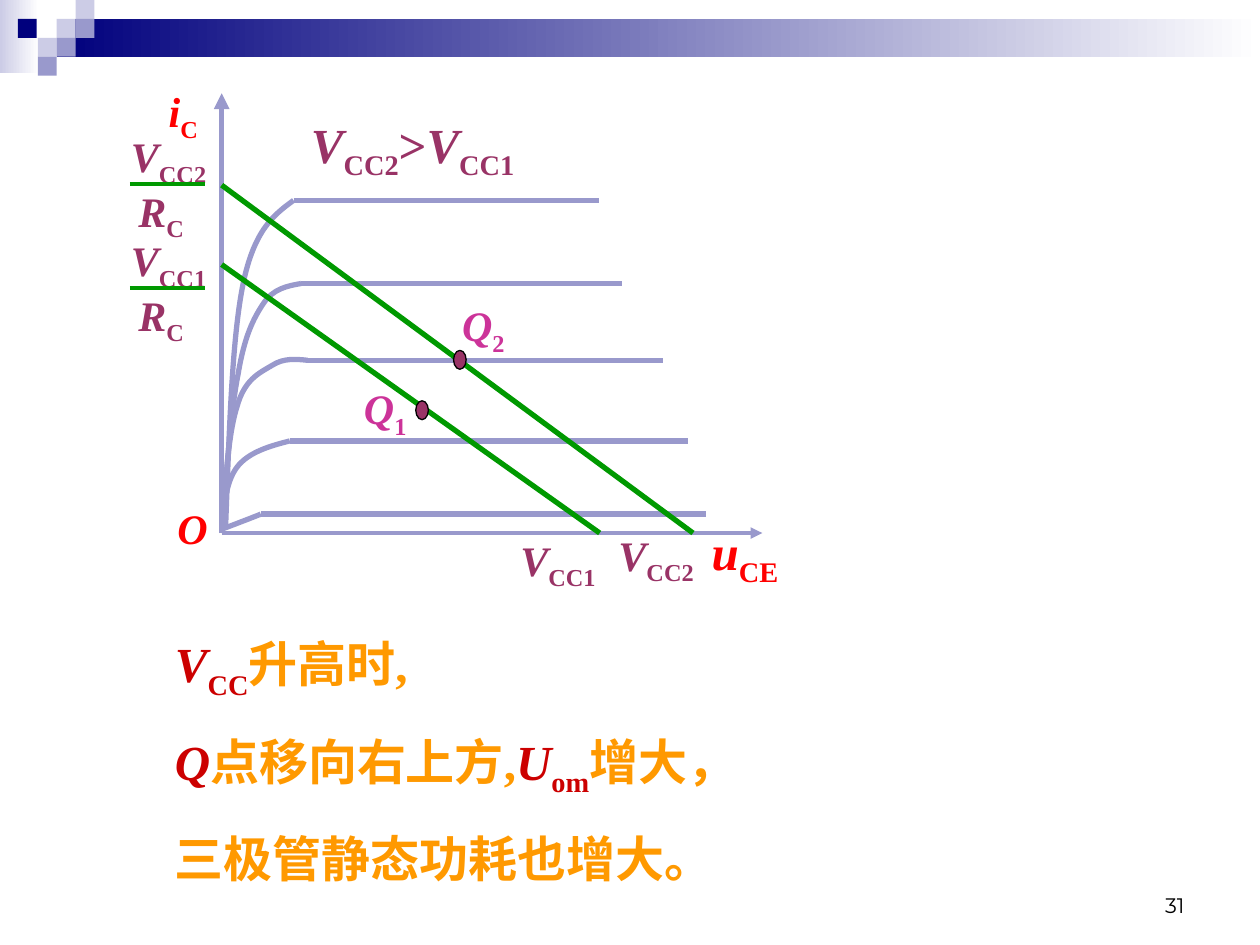
from dataclasses import dataclass

from lxml import etree
from pptx import Presentation
from pptx import util as u
from pptx.dml.color import RGBColor
from pptx.enum import shapes, text
from pptx.oxml.ns import qn

NAVY, LAVENDER, PALE, WHITE = "00007D", "9999CC", "CCCCE6", "FFFFFF"
RED, PLUM, PINK, GREEN = "FF0000", "993366", "CC3399", "009900"
CRIMSON, ORANGE, BLACK = "CC0000", "FF9900", "000000"
SERIF = "Times New Roman"
TILE = 10.8
ORIGIN = (126.7, 304.6)


@dataclass
class Piece:
    words: str
    color: str
    italic: bool = False
    lowered: bool = False


@dataclass
class Label:
    left: float
    top: float
    width: float
    stem: str
    subscript: str
    color: str
    size: float = 24


@dataclass
class Characteristic:
    start: tuple[float, float]
    beziers: list[tuple[float, ...]]
    plateau_end: float


def rgb(code: str) -> RGBColor:
    return RGBColor.from_string(code)


def symbol(stem: str, subscript: str, color: str) -> list[Piece]:
    return [Piece(stem, color, italic=True), Piece(subscript, color, lowered=True)]


def write(slide, left, top, width, height, lines: list[list[Piece]], *, size=24.0,
          font=SERIF, bold=True, gap=0.0, align=text.PP_ALIGN.LEFT,
          anchor=text.MSO_ANCHOR.TOP) -> None:
    frame = slide.shapes.add_textbox(*map(u.Pt, (left, top, width, height))).text_frame
    frame.word_wrap = True
    frame.vertical_anchor = anchor
    for index, pieces in enumerate(lines):
        paragraph = frame.add_paragraph() if index else frame.paragraphs[0]
        paragraph.alignment = align
        if index:
            paragraph.space_before = u.Pt(gap)
        for piece in pieces:
            run = paragraph.add_run()
            run.text = piece.words
            run.font.name = font
            run.font.size = u.Pt(size)
            run.font.bold = bold
            run.font.italic = piece.italic
            run.font.color.rgb = rgb(piece.color)
            if piece.lowered:
                run._r.get_or_add_rPr().set("baseline", "-25000")


def draw_label(slide, label: Label) -> None:
    pieces = symbol(label.stem, label.subscript, label.color)
    height = 45.4 if label.size > 24 else 40.3
    write(slide, label.left, label.top, label.width, height,
          [[piece for piece in pieces if piece.words]], size=label.size)


def draw_line(slide, start, end, color: str, width=3.0, arrow=False) -> None:
    line = slide.shapes.add_connector(shapes.MSO_CONNECTOR.STRAIGHT,
                                      *map(u.Pt, (*start, *end)))
    line.line.color.rgb = rgb(color)
    line.line.width = u.Pt(width)
    if arrow:
        etree.SubElement(line.line._get_or_add_ln(), qn("a:tailEnd"), type="triangle")
    etree.SubElement(line._element.spPr, qn("a:effectLst"))


def draw_block(slide, left, top, width, height, color: str, fade_to="") -> None:
    block = slide.shapes.add_shape(shapes.MSO_SHAPE.RECTANGLE,
                                   *map(u.Pt, (left, top, width, height)))
    block.shadow.inherit = False
    block.line.fill.background()
    if fade_to:
        block.fill.gradient()
        block.fill.gradient_angle = 0
        for stop, code in zip(block.fill.gradient_stops, (color, fade_to)):
            stop.color.rgb = rgb(code)
    else:
        block.fill.solid()
        block.fill.fore_color.rgb = rgb(color)


def draw_point(slide, left, top) -> None:
    point = slide.shapes.add_shape(shapes.MSO_SHAPE.OVAL,
                                   *map(u.Pt, (left, top, 7.2, 10.8)))
    point.shadow.inherit = False
    point.fill.solid()
    point.fill.fore_color.rgb = rgb(PLUM)
    point.line.color.rgb = rgb(BLACK)
    point.line.width = u.Pt(0.75)


def draw_characteristic(slide, curve: Characteristic) -> None:
    joints = [(u.Pt(bezier[4]), u.Pt(bezier[5])) for bezier in curve.beziers]
    builder = slide.shapes.build_freeform(*map(u.Pt, curve.start))
    builder.add_line_segments(joints, close=False)
    rise = builder.convert_to_shape()
    for segment, bezier in zip(list(rise._element.iter(qn("a:lnTo"))), curve.beziers):
        bend = etree.Element(qn("a:cubicBezTo"))
        for x, y in zip(bezier[::2], bezier[1::2]):
            etree.SubElement(bend, qn("a:pt"), x=str(u.Pt(x) - rise.left),
                             y=str(u.Pt(y) - rise.top))
        segment.getparent().replace(segment, bend)
    rise.shadow.inherit = False
    rise.fill.background()
    rise.line.color.rgb = rgb(LAVENDER)
    rise.line.width = u.Pt(3)
    knee = curve.beziers[-1][4:]
    draw_line(slide, knee, (curve.plateau_end, knee[1]), LAVENDER)


TILES = [(3, 1, PALE), (4, 0, PALE), (4, 1, LAVENDER), (2, 2, PALE),
         (0.94, 1, NAVY), (3, 2, LAVENDER), (2, 3, LAVENDER)]

CHARACTERISTICS = [
    Characteristic((126.7, 302.4), [(128.2, 289.4, 128.9, 275.8, 135.4, 267.1),
                                    (141.8, 258.5, 154.1, 254.9, 165.6, 252)], 393.1),
    Characteristic(ORIGIN, [(128.9, 276.5, 130.3, 248.4, 135.4, 232.6),
                            (139.7, 216.7, 148.3, 213.1, 155.5, 208.8),
                            (162, 204.5, 169.2, 205.2, 175.7, 205.9)], 378.7),
    Characteristic((126.7, 302.4), [(126.7, 302.4, 138.2, 298.1, 149, 293.8)], 403.2),
    Characteristic((126.7, 302.4), [(129.6, 269.3, 131.8, 235.4, 136.1, 213.8),
                                    (139.7, 192.2, 144.7, 182.2, 150.5, 173.5),
                                    (156.2, 164.9, 164.2, 163.4, 172.1, 162)], 355.7),
    Characteristic((128.9, 302.4), [(131, 247.7, 132.5, 193.7, 139, 162),
                                    (145.4, 131, 157, 122.4, 167.8, 114.5)], 342),
]

LABELS = [
    Label(399.6, 294.5, 62.6, "u", "CE", RED, 28),
    Label(94.3, 283.7, 39.6, "O", "", RED),
    Label(89.3, 45.4, 33.8, "i", "C", RED),
    Label(200.9, 215.3, 51, "Q", "1", PINK),
    Label(257, 167.8, 51, "Q", "2", PINK),
    Label(346.3, 298.8, 66.2, "V", "CC2", PLUM),
    Label(290.2, 301.7, 66.2, "V", "CC1", PLUM),
]


def main() -> None:
    deck = Presentation()
    deck.slide_width, deck.slide_height = u.Pt(720), u.Pt(540)
    slide = deck.slides.add_slide(deck.slide_layouts[6])

    draw_block(slide, 0, 0, 22.3, 41.8, PALE, fade_to=WHITE)
    draw_block(slide, 3 * TILE, TILE, 720 - 3 * TILE, 2 * TILE, NAVY, fade_to=WHITE)
    for column, row, color in TILES:
        draw_block(slide, column * TILE, row * TILE, TILE, TILE, color)

    for curve in CHARACTERISTICS:
        draw_characteristic(slide, curve)
    draw_line(slide, ORIGIN, (435.6, ORIGIN[1]), LAVENDER, width=2.25, arrow=True)
    draw_line(slide, ORIGIN, (ORIGIN[0], 53.3), LAVENDER, arrow=True)
    for current, voltage in ((151.2, 342.7), (105.8, 396)):
        draw_line(slide, (ORIGIN[0], current), (voltage, ORIGIN[1]), GREEN)
    draw_point(slide, 259.2, 200.2)
    draw_point(slide, 237.6, 229)

    for label in LABELS:
        draw_label(slide, label)
    for supply, top in (("CC2", 71.3), ("CC1", 130.7)):
        draw_label(slide, Label(67.7, top, 66.2, "V", supply, PLUM))
        draw_label(slide, Label(72, top + 31, 43.2, "R", "C", PLUM))
        draw_line(slide, (74.2, top + 34), (117.4, top + 34), GREEN, width=2.25)

    comparison = symbol("V", "CC2", PLUM) + [Piece(">", PLUM)] + symbol("V", "CC1", PLUM)
    write(slide, 170.6, 61.9, 147.6, 45.4, [comparison], size=28)
    conclusions = [
        symbol("V", "CC", CRIMSON) + [Piece("升高时,", ORANGE)],
        [Piece("Q", CRIMSON, italic=True), Piece("点移向右上方,", ORANGE),
         *symbol("U", "om", CRIMSON), Piece("增大，", ORANGE)],
        [Piece("三极管静态功耗也增大。", ORANGE)],
    ]
    write(slide, 92.9, 358.6, 360.7, 152.6, conclusions, size=28, gap=17.5)
    write(slide, 516.2, 491.8, 167.8, 36, [[Piece("31", BLACK)]], size=12, bold=False,
          font="Montserrat", align=text.PP_ALIGN.RIGHT, anchor=text.MSO_ANCHOR.BOTTOM)
    deck.save("out.pptx")


if __name__ == "__main__":
    main()
